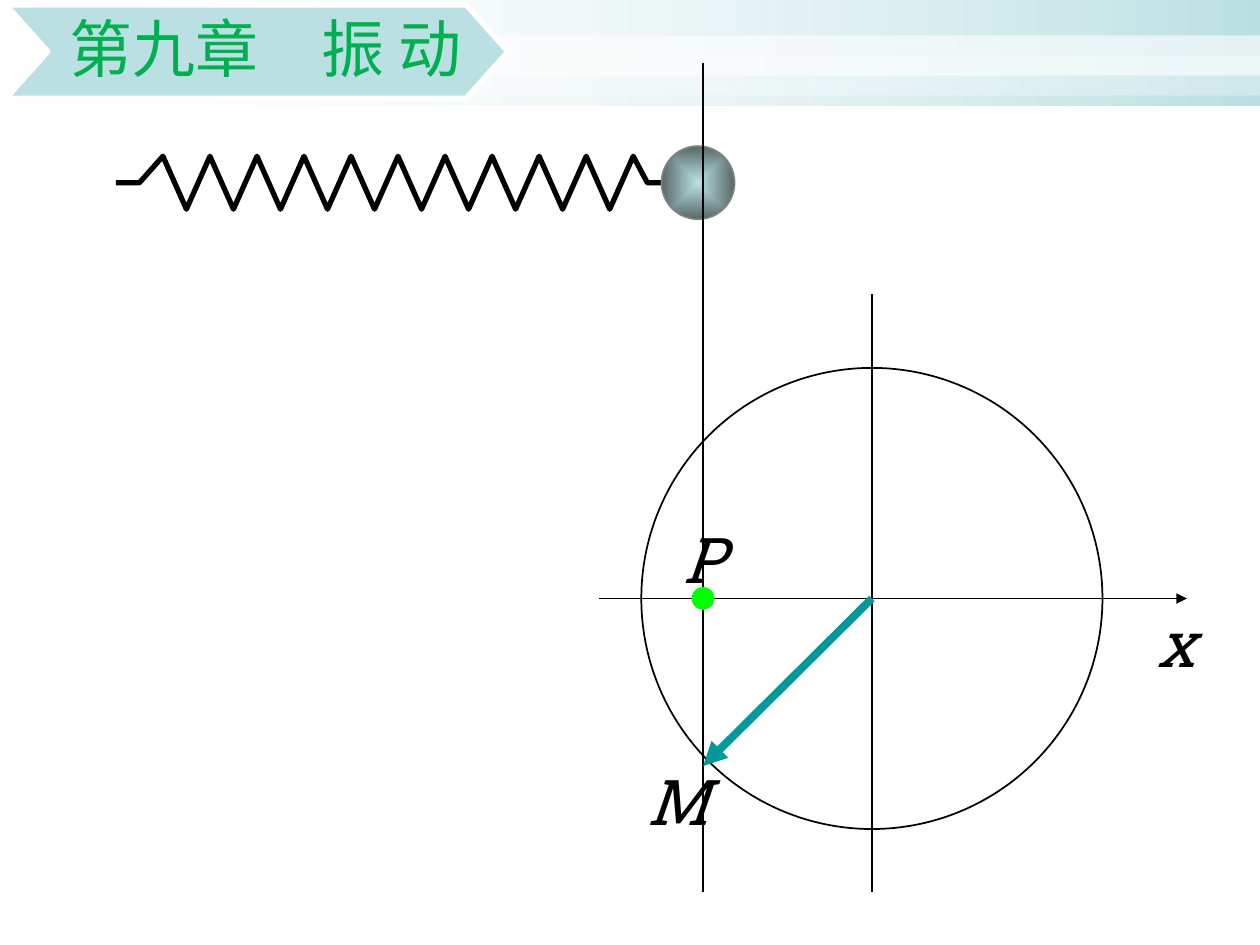
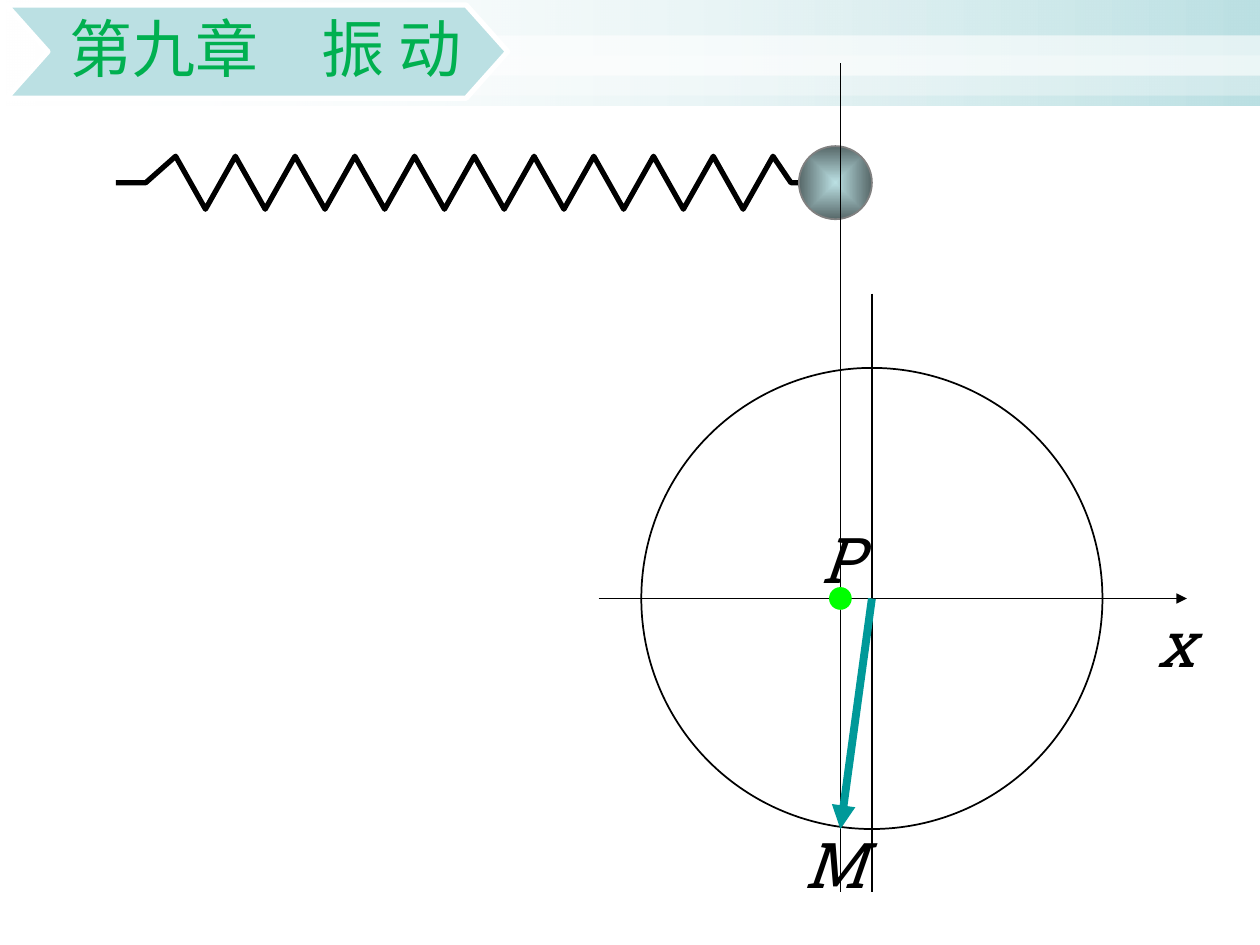
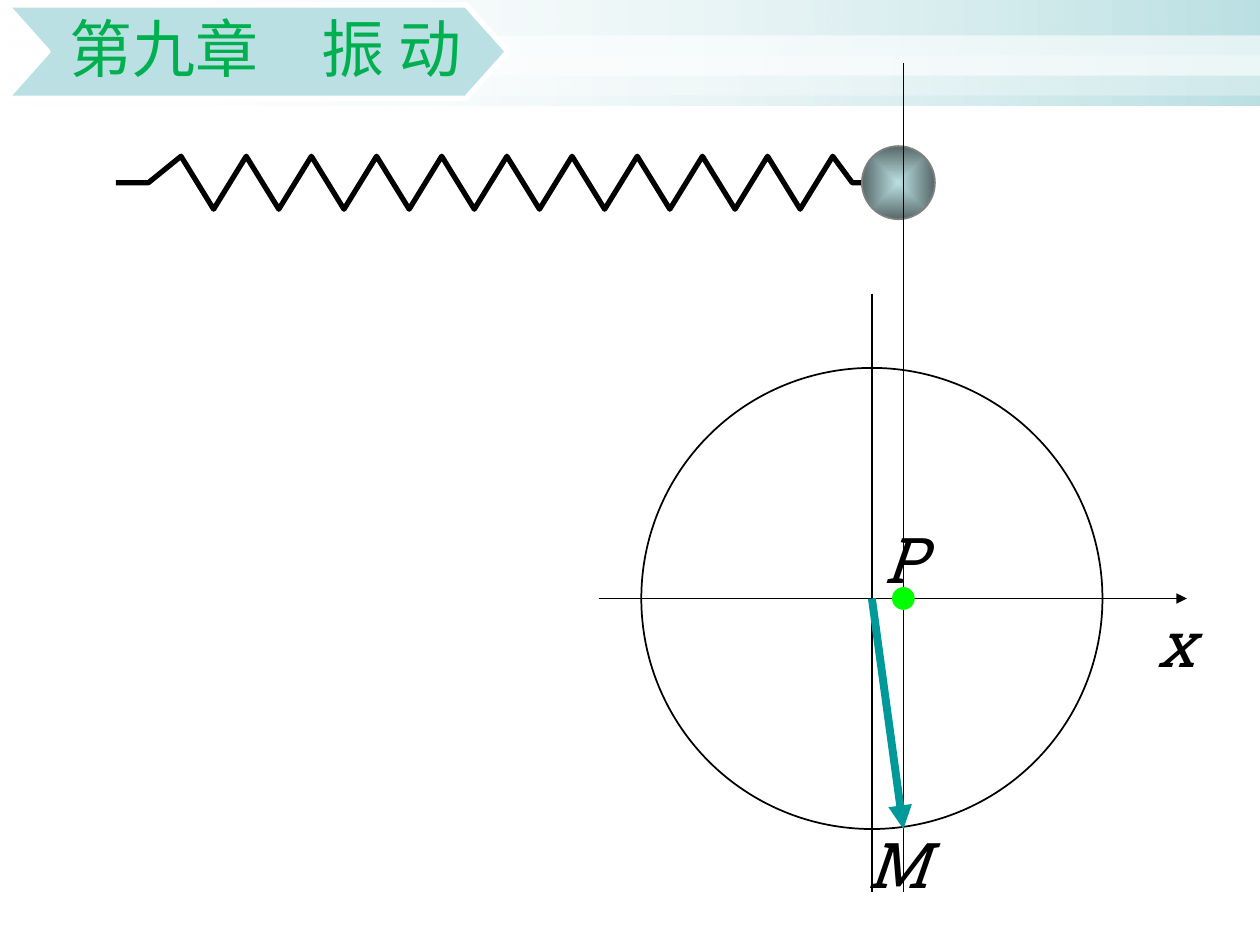
"""Build three slides relating a spring oscillator to its rotating vector."""
from lxml import etree
from pptx import Presentation
from pptx.dml.color import RGBColor
from pptx.enum.shapes import MSO_CONNECTOR, MSO_SHAPE
from pptx.enum.text import MSO_ANCHOR, MSO_AUTO_SIZE, PP_ALIGN
from pptx.oxml.ns import qn
from pptx.util import Inches, Pt

RECTANGLE, OVAL = MSO_SHAPE.RECTANGLE, MSO_SHAPE.OVAL
STRAIGHT = MSO_CONNECTOR.STRAIGHT
MIDDLE, RIGHT = MSO_ANCHOR.MIDDLE, PP_ALIGN.RIGHT
FIT_SHAPE = MSO_AUTO_SIZE.SHAPE_TO_FIT_TEXT

WHITE, BLACK, PALE_TEAL, DARK_TEAL = "FFFFFF", "000000", "BBE0E3", "576869"
GRAY, TEAL, LIME, GREEN = "808080", "009999", "00FF00", "00B050"

CENTER_X, CENTER_Y, RADIUS = 6.92, 4.75, 1.83
AXIS_TOP, PROJECTION_TOP, LINE_BOTTOM = 2.33, 0.5, 7.08
SPRING_LEFT, SPRING_TOP, SPRING_MIDDLE, SPRING_BOTTOM = 0.92, 1.24, 1.45, 1.66
SPRING_STEPS, LAST_PEAK = 23.2, 22
BALL_SIZE, DOT_SIZE = 0.58, 0.17

BANDS = [
    (0, 0.84, (WHITE, PALE_TEAL), 0),
    (0.28, 0.32, WHITE, 60),
    (0.44, 0.32, WHITE, 31),
]
BANNER = [(0.05, 0.04), (3.7, 0.04), (4.03, 0.41), (3.7, 0.78), (0.05, 0.78), (0.38, 0.41)]
FRAMES = [
    {"x": 5.58, "tip_y": 6.08, "spring_right": 5.25, "label_left": 5.04},
    {"x": 6.67, "tip_y": 6.58, "spring_right": 6.42, "label_left": 6.29},
    {"x": 7.17, "tip_y": 6.58, "spring_right": 6.92, "label_left": 6.79},
]


def paint(shape, fill=None, line=None, width=1, alpha=None, arrow=False):
    """Set the fill, outline, opacity and arrowhead of a shape or connector."""
    properties = shape._element.spPr
    if isinstance(fill, tuple):
        shape.fill.gradient()
        shape.fill.gradient_angle = 0
        for stop, color, position in zip(shape.fill.gradient_stops, fill, (0, 1)):
            stop.color.rgb = RGBColor.from_string(color)
            stop.position = position
    elif fill:
        shape.fill.solid()
        shape.fill.fore_color.rgb = RGBColor.from_string(fill)
    elif hasattr(shape, "fill"):
        shape.fill.background()
    if alpha is not None:
        color_element = next(properties.iter(qn("a:srgbClr")))
        etree.SubElement(color_element, qn("a:alpha"), val=str(alpha * 1000))
    if line:
        shape.line.color.rgb = RGBColor.from_string(line)
        shape.line.width = Pt(width)
    else:
        shape.line.fill.background()
    if arrow:
        etree.SubElement(properties.find(qn("a:ln")), qn("a:tailEnd"), type="triangle")
    etree.SubElement(properties, qn("a:effectLst"))


def write(shape, text, font="Roboto Slab", color=BLACK, italic=True, align=None):
    """Write one paragraph into a shape and return it."""
    paragraph = shape.text_frame.paragraphs[0]
    paragraph.alignment = align
    run = paragraph.add_run()
    run.text = text
    run.font.name = font
    run.font.size = Pt(36)
    run.font.italic = italic
    run.font.color.rgb = RGBColor.from_string(color)
    return paragraph


presentation = Presentation()
presentation.slide_width, presentation.slide_height = Inches(10), Inches(7.5)

for frame in FRAMES:
    slide = presentation.slides.add_slide(presentation.slide_layouts[6])
    shapes = slide.shapes
    x, tip_y = frame["x"], frame["tip_y"]

    for top, height, fill, alpha in BANDS:
        band = shapes.add_shape(RECTANGLE, 0, Inches(top), Inches(10), Inches(height))
        paint(band, fill, alpha=alpha)

    step = (frame["spring_right"] - SPRING_LEFT) / SPRING_STEPS
    coils = [(1, SPRING_MIDDLE)]
    for index in range(2, LAST_PEAK + 1):
        coils.append((index, SPRING_BOTTOM if index % 2 else SPRING_TOP))
    coils += [(22.6, SPRING_MIDDLE), (SPRING_STEPS, SPRING_MIDDLE)]
    builder = shapes.build_freeform(Inches(SPRING_LEFT), Inches(SPRING_MIDDLE))
    builder.add_line_segments(
        [(Inches(SPRING_LEFT + index * step), Inches(y)) for index, y in coils], close=False
    )
    paint(builder.convert_to_shape(), line=BLACK, width=3)

    ball = shapes.add_shape(
        OVAL, Inches(x - 0.33), Inches(1.16), Inches(BALL_SIZE), Inches(BALL_SIZE)
    )
    paint(ball, (PALE_TEAL, DARK_TEAL), GRAY)
    gradient = ball._element.spPr.find(qn("a:gradFill"))
    gradient.remove(gradient.find(qn("a:lin")))
    focus = etree.SubElement(gradient, qn("a:path"), path="rect")
    etree.SubElement(focus, qn("a:fillToRect"), {side: "50000" for side in "ltrb"})

    circle = shapes.add_shape(
        OVAL, Inches(CENTER_X - RADIUS), Inches(CENTER_Y - RADIUS),
        Inches(2 * RADIUS), Inches(2 * RADIUS),
    )
    paint(circle, line=BLACK)

    lines = [
        (x, PROJECTION_TOP, x, LINE_BOTTOM, BLACK, 1, False),
        (4.75, CENTER_Y, 9.42, CENTER_Y, BLACK, 1, True),
        (CENTER_X, AXIS_TOP, CENTER_X, LINE_BOTTOM, BLACK, 1, False),
        (CENTER_X, CENTER_Y, x, tip_y, TEAL, 4.5, True),
    ]
    for start_x, start_y, end_x, end_y, color, width, arrow in lines:
        connector = shapes.add_connector(
            STRAIGHT, Inches(start_x), Inches(start_y), Inches(end_x), Inches(end_y)
        )
        paint(connector, line=color, width=width, arrow=arrow)

    labels = [
        ("x", 9.09, CENTER_Y, 0.47),
        ("M", frame["label_left"], tip_y - 0.08, 0.63),
        ("P", x - 0.25, 4.08, 0.5),
    ]
    for text, left, top, width in labels:
        label = shapes.add_textbox(Inches(left), Inches(top), Inches(width), Inches(0.7))
        label.text_frame.word_wrap = False
        label.text_frame.auto_size = FIT_SHAPE
        write(label, text)

    dot = shapes.add_shape(
        OVAL, Inches(x - DOT_SIZE / 2), Inches(CENTER_Y - DOT_SIZE / 2),
        Inches(DOT_SIZE), Inches(DOT_SIZE),
    )
    paint(dot, LIME, LIME, 0.75)

    corners = [(Inches(left), Inches(top)) for left, top in BANNER]
    builder = shapes.build_freeform(*corners[0])
    builder.add_line_segments(corners[1:], close=True)
    banner = builder.convert_to_shape()
    paint(banner, PALE_TEAL, WHITE, 3)
    text_frame = banner.text_frame
    text_frame.word_wrap = True
    text_frame.vertical_anchor = MIDDLE
    text_frame.margin_left, text_frame.margin_right = Inches(0.42), Inches(0.37)
    text_frame.margin_top = text_frame.margin_bottom = Inches(0.03)
    title = write(banner, "第九章　振 动", font="Calibri", color=GREEN, italic=False, align=RIGHT)
    title.line_spacing = 0.9
    title.space_after = Pt(15.8)

presentation.save("out.pptx")
